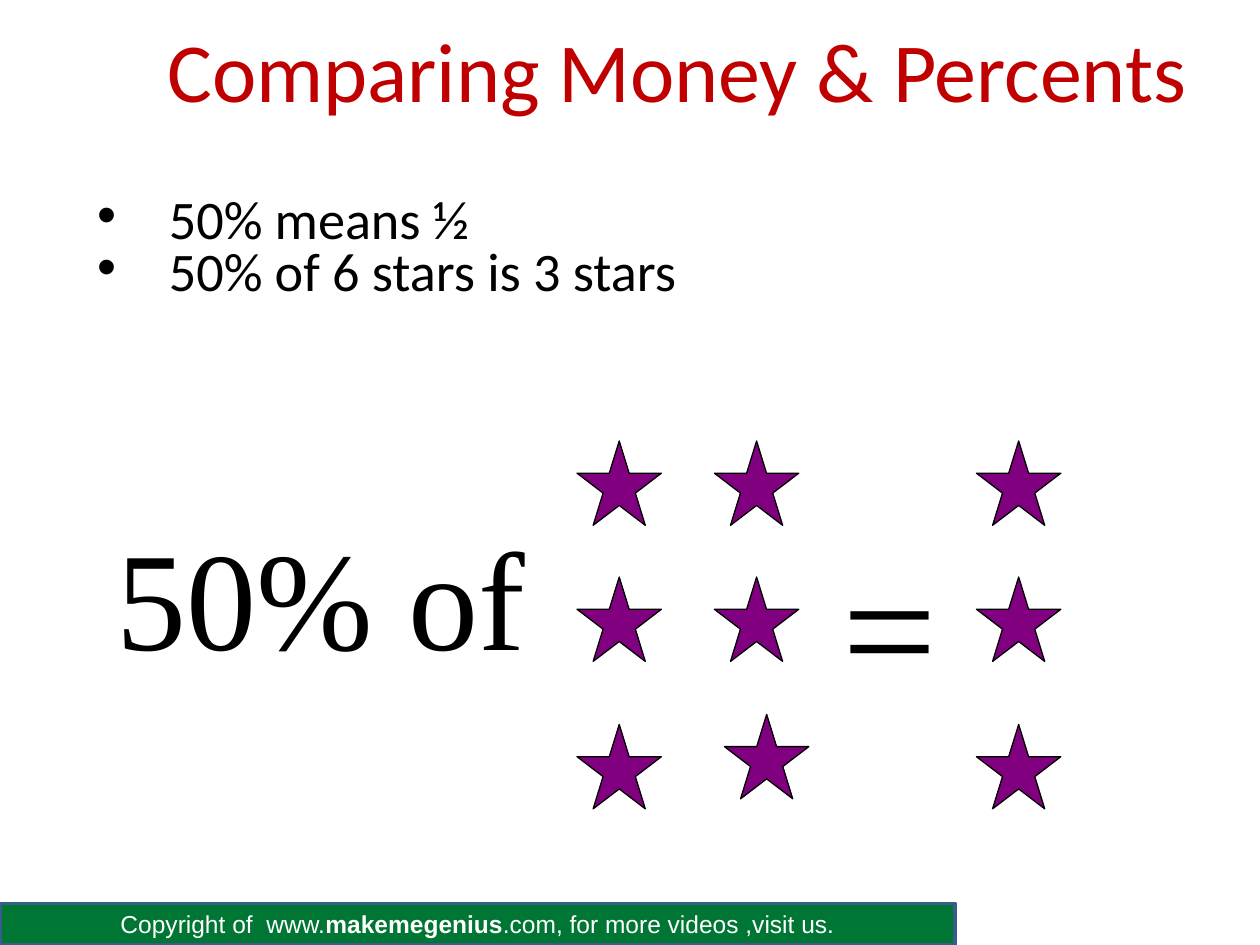
from itertools import product

from lxml.etree import SubElement
from pptx import Presentation
from pptx.dml.color import RGBColor
from pptx.enum.shapes import MSO_SHAPE
from pptx.enum.text import MSO_ANCHOR, MSO_AUTO_SIZE, PP_ALIGN
from pptx.oxml.ns import qn
from pptx.util import Inches, Pt

STAR_SIZE = 0.67


def color(value):
    return RGBColor.from_string(value)


def paint(shape, fill, outline, width):
    shape.shadow.inherit = False
    shape.fill.solid()
    shape.fill.fore_color.rgb = color(fill)
    shape.line.color.rgb = color(outline)
    shape.line.width = Pt(width)


def place(shape, box):
    shape.left, shape.top, shape.width, shape.height = map(Inches, box)


def write(paragraph, *pieces, size, font, ink="000000", align=PP_ALIGN.LEFT, bold_piece=None):
    paragraph.alignment = align
    for piece in pieces:
        run = paragraph.add_run()
        run.text = piece
        run.font.size = Pt(size)
        run.font.name = font
        run.font.color.rgb = color(ink)
        run.font.bold = piece == bold_piece


def add_bullet(paragraph, indent):
    properties = paragraph._p.get_or_add_pPr()
    properties.set("marL", str(Inches(indent)))
    properties.set("indent", str(-Inches(indent)))
    bullet_color = SubElement(properties, qn("a:buClr"))
    SubElement(bullet_color, qn("a:srgbClr"), val="000000")
    SubElement(properties, qn("a:buFont"), typeface="Arial")
    SubElement(properties, qn("a:buChar"), char="•")


def add_heading(slide, box):
    heading = slide.shapes.title
    place(heading, box)
    frame = heading.text_frame
    frame.auto_size = MSO_AUTO_SIZE.NONE
    frame.vertical_anchor = MSO_ANCHOR.MIDDLE
    write(frame.paragraphs[0], "Comparing Money & Percents", size=48,
          font="Calibri", ink="C00000", align=PP_ALIGN.CENTER)


def add_facts(slide, box, facts):
    body = slide.placeholders[1]
    place(body, box)
    frame = body.text_frame
    frame.auto_size = MSO_AUTO_SIZE.NONE
    for index, fact in enumerate(facts):
        paragraph = frame.add_paragraph() if index else frame.paragraphs[0]
        paragraph.line_spacing = 0.6
        paragraph.space_before = Pt(7.7 if index else 0)
        add_bullet(paragraph, 0.57)
        write(paragraph, fact, size=31, font="Calibri")


def add_expression(slide, box, text, size, wrap=True):
    expression = slide.shapes.add_textbox(*map(Inches, box))
    frame = expression.text_frame
    frame.word_wrap = wrap
    frame.auto_size = MSO_AUTO_SIZE.SHAPE_TO_FIT_TEXT
    write(frame.paragraphs[0], text, size=size, font="Times New Roman")


def add_stars(slide, corners):
    stars = slide.shapes.add_group_shape()
    for left, top in corners:
        star = stars.shapes.add_shape(
            MSO_SHAPE.STAR_5_POINT, *map(Inches, (left, top, STAR_SIZE, STAR_SIZE)))
        paint(star, "800080", "000000", 0.75)


def add_footer(slide, box):
    footer = slide.shapes.add_shape(MSO_SHAPE.RECTANGLE, *map(Inches, box))
    paint(footer, "007635", "385D8A", 2)
    frame = footer.text_frame
    frame.word_wrap = True
    frame.vertical_anchor = MSO_ANCHOR.MIDDLE
    write(frame.paragraphs[0], "Copyright of  www.", "makemegenius",
          ".com, for more videos ,visit us.", size=14, font="Arial", ink="FFFFFF",
          align=PP_ALIGN.CENTER, bold_piece="makemegenius")


def main():
    deck = Presentation()
    deck.slide_width, deck.slide_height = Inches(10), Inches(7.5)
    slide = deck.slides.add_slide(deck.slide_layouts[1])

    add_footer(slide, (0, 7.17, 7.58, 0.33))
    add_heading(slide, (0.75, -0.08, 9.25, 1.25))
    add_facts(slide, (0.67, 1.6, 8.75, 0.83),
              ("50% means ½", "50% of 6 stars is 3 stars"))
    add_expression(slide, (6.59, 4.08, 0.95, 1.7), "=", 96, wrap=False)
    upper_rows = (3.5, 4.58)
    add_stars(slide, [*product((4.58, 5.67), upper_rows), (5.75, 5.67), (4.58, 5.75)])
    add_stars(slide, product((7.75,), (*upper_rows, 5.75)))
    add_expression(slide, (0.83, 4, 3.44, 1.44), "50% of", 80)

    deck.save("out.pptx")


if __name__ == "__main__":
    main()
